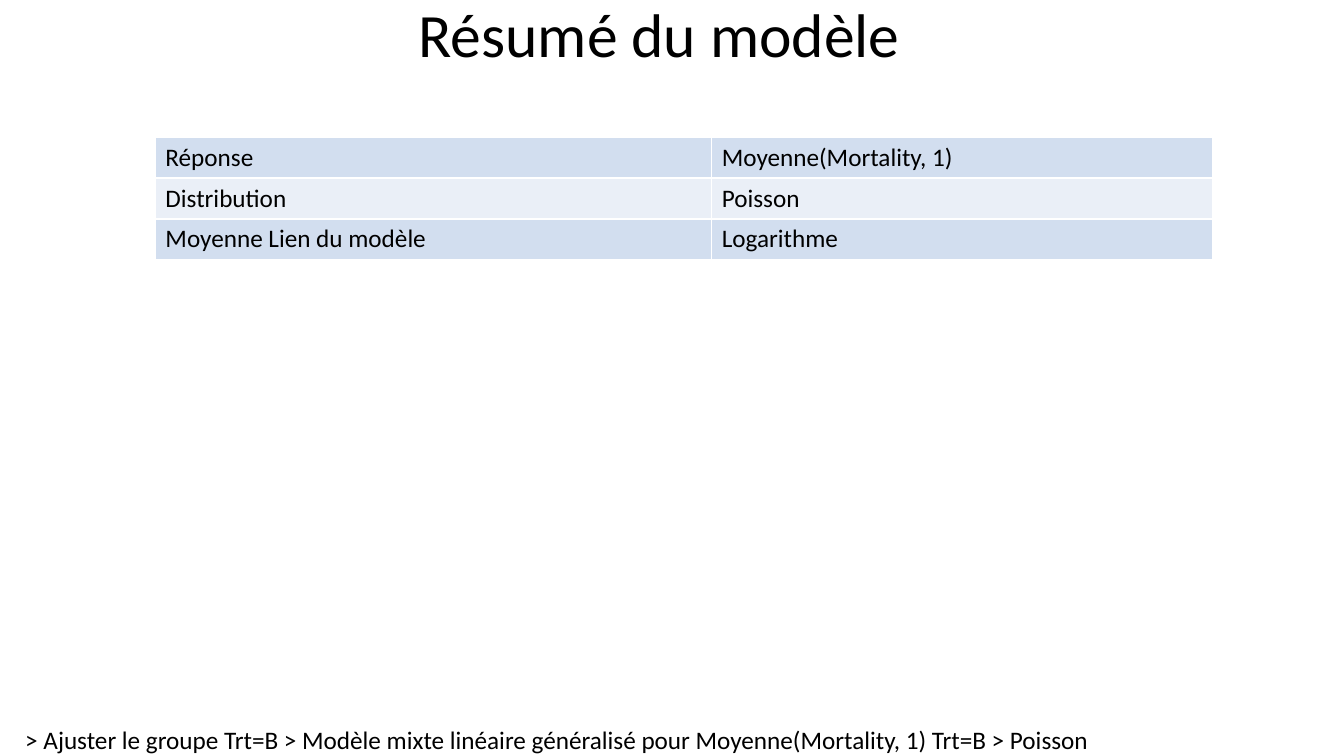
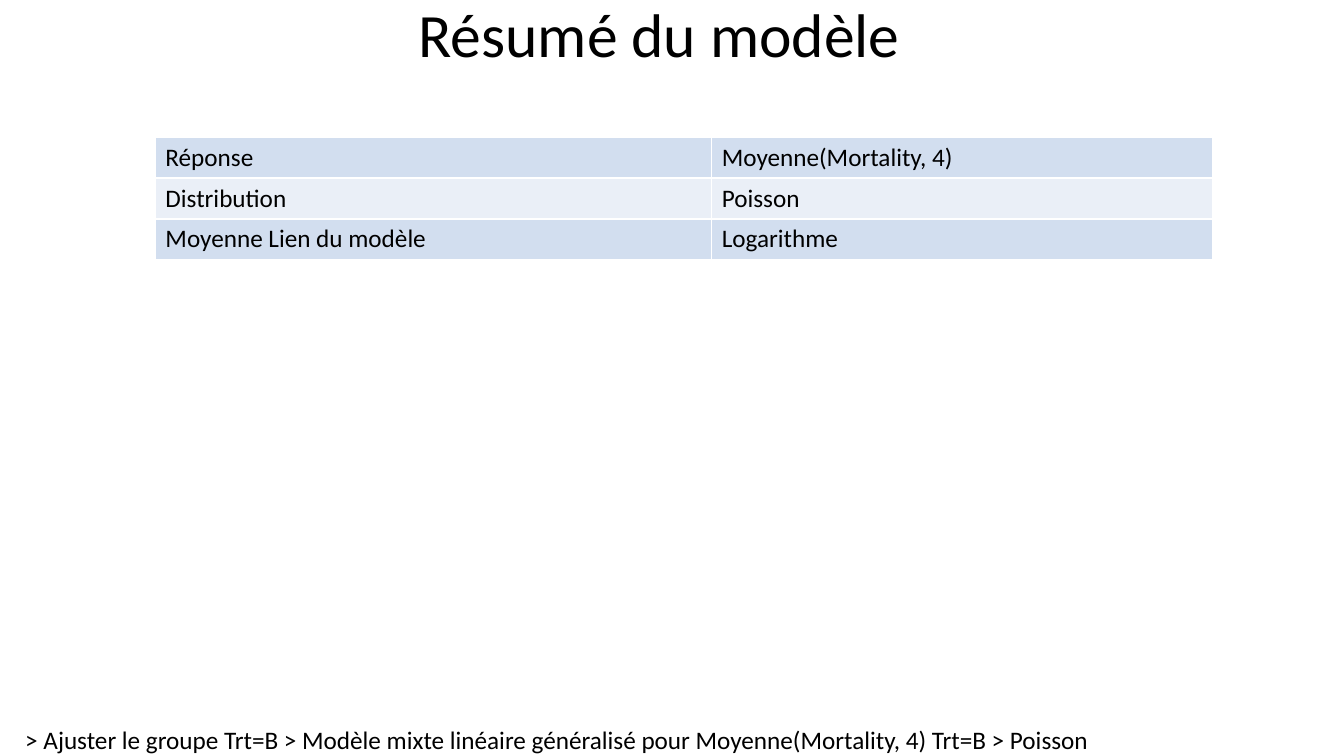
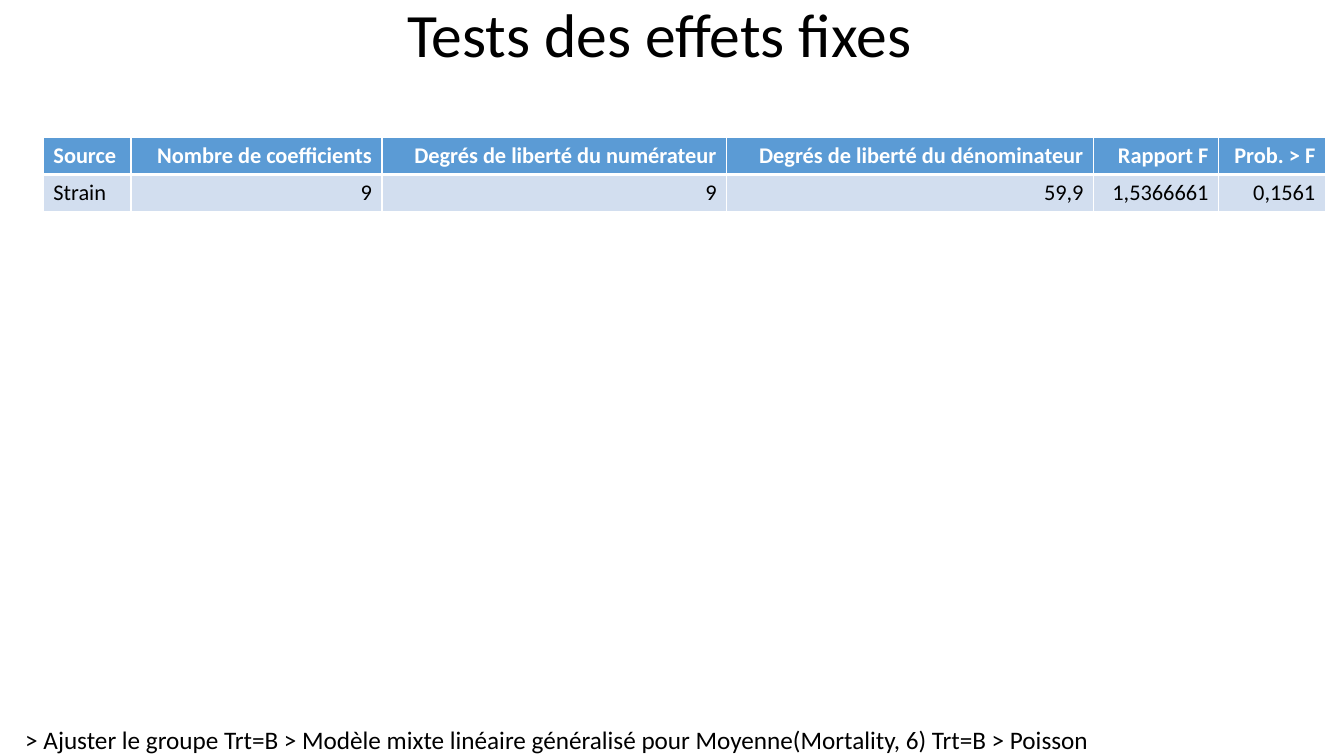
"""Build three slides that report generalized linear mixed model results."""
from dataclasses import dataclass

from lxml import etree
from pptx import Presentation
from pptx import util as u
from pptx.dml.color import RGBColor
from pptx.enum import text
from pptx.oxml.ns import qn


@dataclass(frozen=True)
class Theme:
    font: str = "Calibri"
    ink: str = "000000"
    paper: str = "FFFFFF"
    heading: str = "5B9BD5"
    bands: tuple[str, str] = ("D2DEEF", "EAEFF7")
    title_size: float = 44
    footer_size: float = 18
    thin: float = 1
    thick: float = 3


@dataclass(frozen=True)
class Grid:
    left: float
    widths: tuple[float, ...]
    row_height: float
    size: float
    rows: tuple[tuple[str, ...], ...]
    has_heading: bool = False


@dataclass(frozen=True)
class Report:
    title: str
    response: str
    grid: Grid


THEME = Theme()
GRID_TOP = 98


def summary(response: str) -> Report:
    rows = (
        ("Réponse", response),
        ("Distribution", "Poisson"),
        ("Moyenne Lien du modèle", "Logarithme"),
    )
    return Report("Résumé du modèle", response, Grid(111, (397.4, 357.8), 29.2, 18, rows))


def fixed_effects(response: str) -> Report:
    rows = (
        (
            "Source",
            "Nombre de coefficients",
            "Degrés de liberté du numérateur",
            "Degrés de liberté du dénominateur",
            "Rapport F",
            "Prob. > F",
        ),
        ("Strain", "9", "9", "59,9", "1,5366661", "0,1561"),
    )
    widths = (62.6, 179.3, 246.2, 262.1, 89.3, 76.3)
    return Report("Tests des effets fixes", response, Grid(31, widths, 26.7, 16, rows, True))


REPORTS = (
    summary("Moyenne(Mortality, 1)"),
    summary("Moyenne(Mortality, 4)"),
    fixed_effects("Moyenne(Mortality, 6)"),
)


def style_text(para, size: float, color: str = THEME.ink, bold: bool = False) -> None:
    for span in para.runs:
        span.font.name = THEME.font
        span.font.size = u.Pt(size)
        span.font.bold = bold
        span.font.color.rgb = RGBColor.from_string(color)


def add_title(page, title: str) -> None:
    box = page.shapes.add_textbox(u.Pt(0), u.Pt(0), u.Pt(942), u.Pt(54))
    frame = box.text_frame
    frame.word_wrap = True
    frame.vertical_anchor = text.MSO_ANCHOR.MIDDLE
    frame.text = title
    para = frame.paragraphs[0]
    para.alignment = text.PP_ALIGN.CENTER
    para.line_spacing = 0.9
    style_text(para, THEME.title_size)


def add_footer(page, response: str) -> None:
    box = page.shapes.add_textbox(u.Pt(18), u.Pt(517.7), u.Pt(766), u.Pt(22.3))
    frame = box.text_frame
    frame.margin_left = frame.margin_top = frame.margin_right = frame.margin_bottom = u.Pt(0)
    frame.word_wrap = False
    frame.auto_size = text.MSO_AUTO_SIZE.SHAPE_TO_FIT_TEXT
    frame.text = (
        "> Ajuster le groupe Trt=B > Modèle mixte linéaire généralisé "
        f"pour {response} Trt=B > Poisson"
    )
    style_text(frame.paragraphs[0], THEME.footer_size)


def set_borders(cell, top: float, bottom: float) -> None:
    properties = cell._tc.get_or_add_tcPr()
    weights = {"lnL": THEME.thin, "lnR": THEME.thin, "lnT": top, "lnB": bottom}
    for side, weight in weights.items():
        line = etree.SubElement(properties, qn(f"a:{side}"), w=str(u.Pt(weight)))
        fill = etree.SubElement(line, qn("a:solidFill"))
        etree.SubElement(fill, qn("a:srgbClr"), val=THEME.paper)


def add_grid(page, grid: Grid) -> None:
    table = page.shapes.add_table(
        len(grid.rows),
        len(grid.widths),
        u.Pt(grid.left),
        u.Pt(GRID_TOP),
        u.Pt(sum(grid.widths)),
        u.Pt(grid.row_height * len(grid.rows)),
    ).table
    table.first_row = grid.has_heading
    table.horz_banding = False
    for column, width in zip(table.columns, grid.widths):
        column.width = u.Pt(width)
    for row_index, values in enumerate(grid.rows):
        table.rows[row_index].height = u.Pt(grid.row_height)
        is_heading = grid.has_heading and row_index == 0
        below_heading = grid.has_heading and row_index == 1
        band = THEME.bands[(row_index - grid.has_heading) % 2]
        for column_index, value in enumerate(values):
            cell = table.cell(row_index, column_index)
            set_borders(
                cell,
                top=THEME.thick if below_heading else THEME.thin,
                bottom=THEME.thick if is_heading else THEME.thin,
            )
            cell.fill.solid()
            cell.fill.fore_color.rgb = RGBColor.from_string(THEME.heading if is_heading else band)
            cell.text_frame.text = value
            para = cell.text_frame.paragraphs[0]
            if grid.has_heading and column_index > 0:
                para.alignment = text.PP_ALIGN.RIGHT
            style_text(para, grid.size, THEME.paper if is_heading else THEME.ink, is_heading)


def main() -> None:
    deck = Presentation()
    deck.slide_width, deck.slide_height = u.Pt(960), u.Pt(540)
    for report in REPORTS:
        page = deck.slides.add_slide(deck.slide_layouts[6])
        add_footer(page, report.response)
        add_title(page, report.title)
        add_grid(page, report.grid)
    deck.save("out.pptx")


if __name__ == "__main__":
    main()
